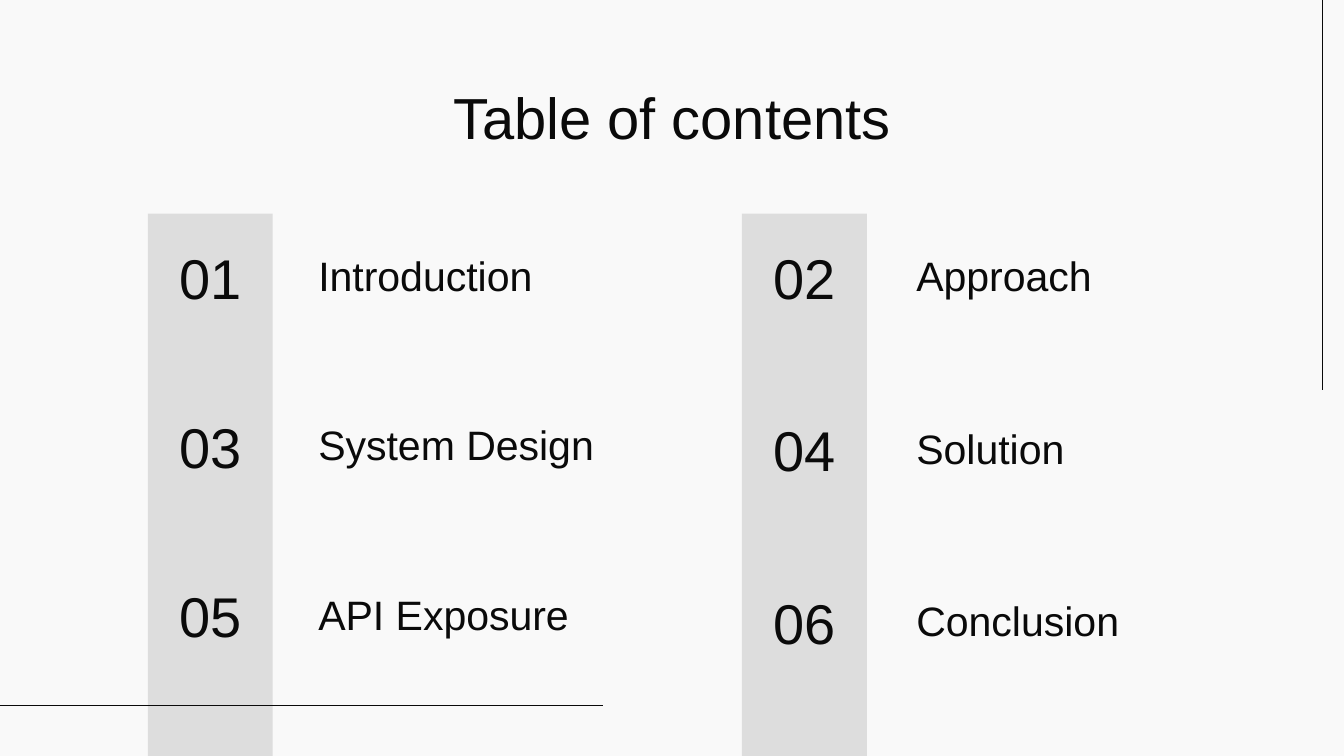
from dataclasses import dataclass
from pptx import Presentation
from pptx.dml.color import RGBColor as RGB
from pptx.enum.shapes import MSO_CONNECTOR as CONN, MSO_SHAPE as SHAPE
from pptx.enum.text import MSO_ANCHOR as ANCHOR, PP_ALIGN as ALIGN
from pptx.oxml.ns import qn
from pptx.util import Inches, Pt
from lxml import etree


@dataclass(frozen=True)
class Theme:
    font: str = "Arial"
    paper: RGB = RGB.from_string("F9F9F9")
    ink: RGB = RGB.from_string("0A0A0A")
    band: RGB = RGB.from_string("DDDDDD")
    title: int = 31
    number: int = 30
    label: int = 22
    rule: float = 0.75


class Deck:
    COLS, ROWS = 100, 56.25

    def __init__(self, prs, theme):
        self.prs, self.theme = prs, theme
        self.s = prs.slides.add_slide(prs.slide_layouts[6])
        fill = self.s.background.fill
        fill.solid()
        fill.fore_color.rgb = theme.paper

    def grid(self, *lengths):
        units = (self.prs.slide_width / self.COLS, self.prs.slide_height / self.ROWS)
        return [round(n * units[i % 2]) for i, n in enumerate(lengths)]

    def band(self, *box):
        sp = self.s.shapes.add_shape(SHAPE.RECTANGLE, *self.grid(*box))
        sp.shadow.inherit = False
        sp.fill.solid()
        sp.fill.fore_color.rgb = self.theme.band
        sp.line.fill.background()

    def rule(self, *ends):
        line = self.s.shapes.add_connector(CONN.STRAIGHT, *self.grid(*ends))
        line.line.color.rgb = self.theme.ink
        line.line.width = Pt(self.theme.rule)
        etree.SubElement(line._element.spPr, qn("a:effectLst"))

    def text(self, words, box, size, anchor=ANCHOR.TOP, align=ALIGN.LEFT):
        tf = self.s.shapes.add_textbox(*self.grid(*box)).text_frame
        frame = {"word_wrap": True, "vertical_anchor": anchor}
        frame |= {f"margin_{side}": Inches(0.1) for side in ("left", "top", "right", "bottom")}
        for name, value in frame.items():
            setattr(tf, name, value)
        p = tf.paragraphs[0]
        p.alignment = align
        r = p.add_run()
        r.text = words
        for name, value in {"name": self.theme.font, "size": Pt(size)}.items():
            setattr(r.font, name, value)
        r.font.color.rgb = self.theme.ink

    def entry(self, number, label, number_x, label_x, y):
        self.text(f"{number:02}", (number_x, y, 9.6, 8.8), self.theme.number,
                  ANCHOR.MIDDLE, ALIGN.CENTER)
        self.text(label, (label_x, y + 1.8, 25, 5.3), self.theme.label, ANCHOR.BOTTOM)


def main():
    prs = Presentation()
    prs.slide_width = Inches(10)
    prs.slide_height = prs.slide_width * 9 // 16
    theme = Theme()
    deck = Deck(prs, theme)

    deck.rule(98.4, 29, 98.4, 0)
    for x in (55.2, 11):
        deck.band(x, 15.9, 9.3, 40.4)
    deck.rule(0, 52.5, 44.9, 52.5)
    deck.text("Table of contents", (7.8, 5.1, 84.4, 6), theme.title, align=ALIGN.CENTER)

    columns = [(10.9, 22.7, 12.6), (55.1, 67.2, 12.85)]
    labels = ["Introduction", "Approach", "System Design",
              "Solution", "API Exposure", "Conclusion"]
    for i, label in enumerate(labels):
        row, col = divmod(i, len(columns))
        number_x, label_x, pitch = columns[col]
        deck.entry(i + 1, label, number_x, label_x, 16.2 + row * pitch)

    prs.save("out.pptx")


if __name__ == "__main__":
    main()
